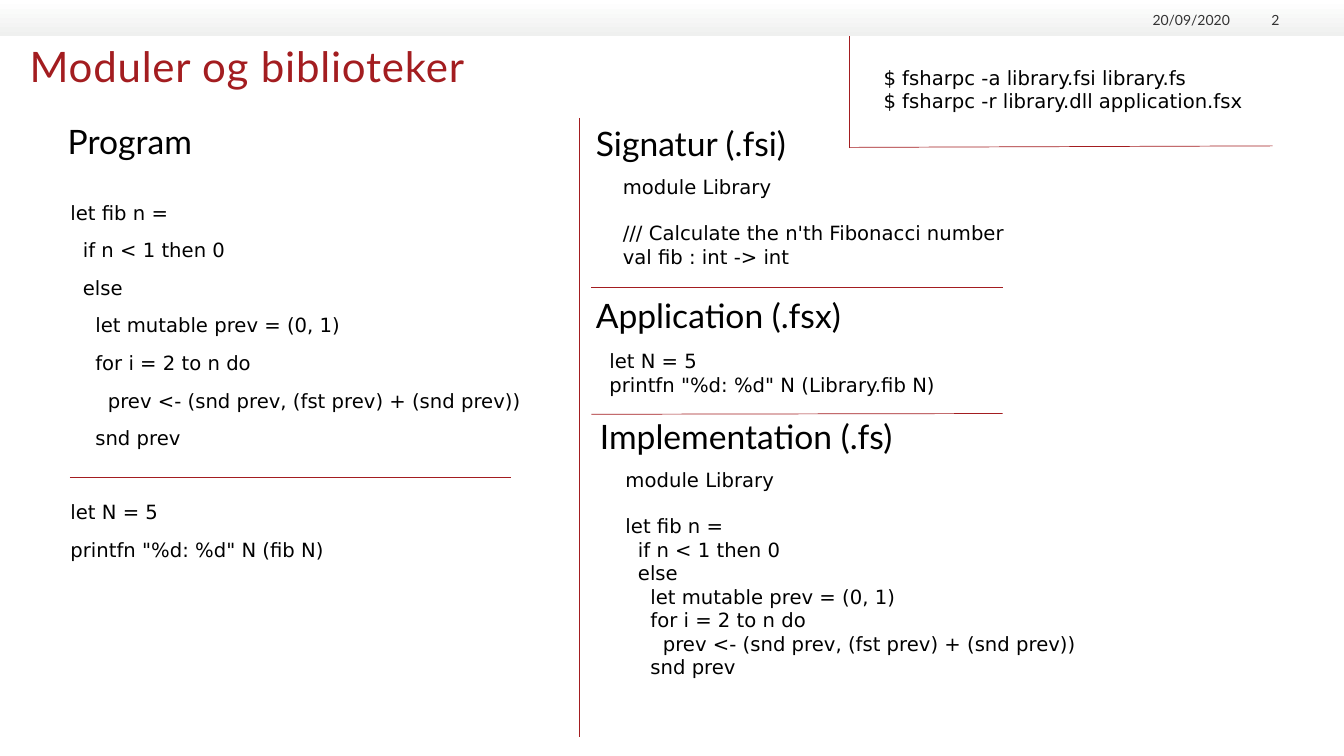
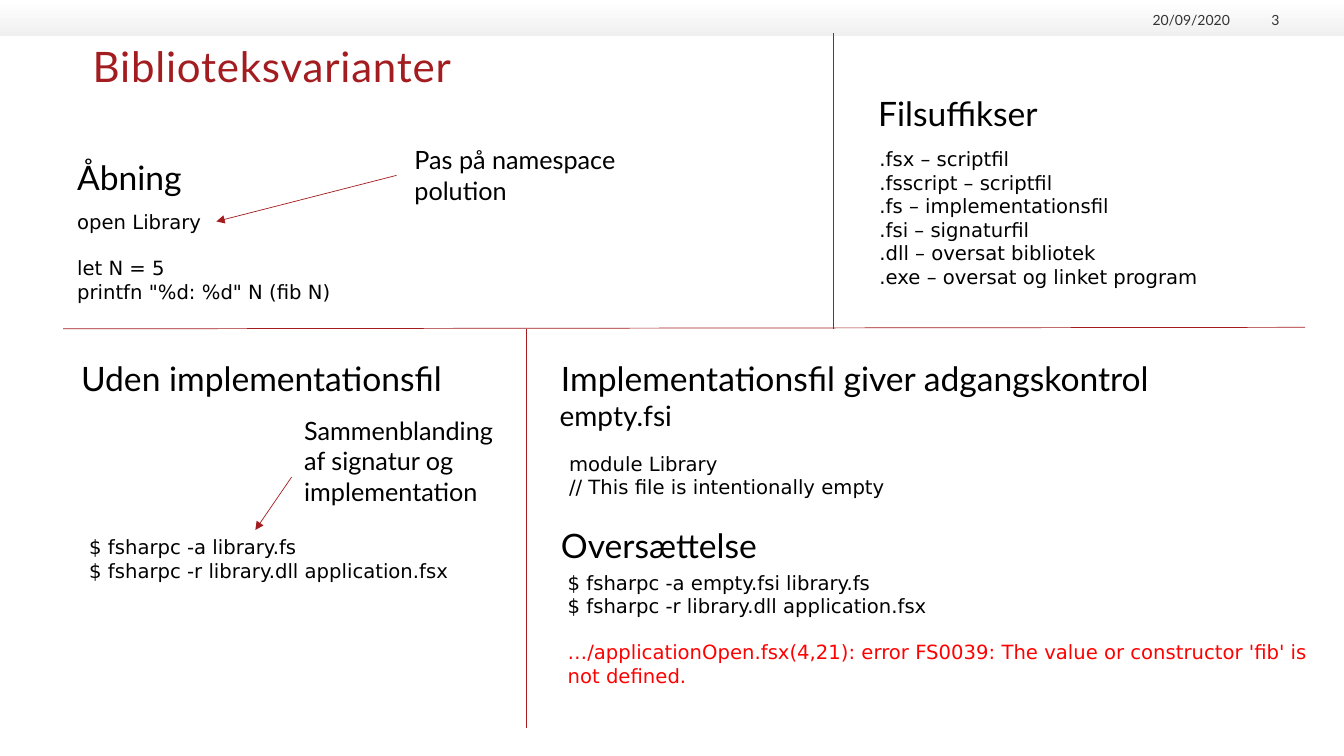
import pptx
import pptx.util
import pptx.dml.color
import pptx.enum.shapes
import pptx.enum.text
import lxml.etree

Pt = pptx.util.Pt
Hex = pptx.dml.color.RGBColor.from_string
Anchor = pptx.enum.text.MSO_ANCHOR
Align = pptx.enum.text.PP_ALIGN
Fit = pptx.enum.text.MSO_AUTO_SIZE
A = "{http://schemas.openxmlformats.org/drawingml/2006/main}"

COLORS = {"red": "A31D20", "error": "FF0000", "ink": "000000",
          "gray": "333333", "top": "FFFFFF", "base": "EFF0EF"}

FLUSH = {"margin_left": 0, "margin_right": 0, "margin_top": 0, "margin_bottom": 0,
         "word_wrap": True}
GROW = {"word_wrap": True, "auto_size": Fit.SHAPE_TO_FIT_TEXT}
LATO = {"name": "Lato"}
CODE = {"name": "DejaVu Sans", "size": Pt(14)}
STYLES = {
    "title": {"frame": FLUSH, "font": {**LATO, "size": Pt(30)}, "color": "red", "track": "60"},
    "foot": {"frame": {**FLUSH, "vertical_anchor": Anchor.BOTTOM},
             "para": {"alignment": Align.RIGHT},
             "font": {**LATO, "size": Pt(10)}, "color": "gray"},
    "head": {"frame": GROW, "font": {**LATO, "size": Pt(24)}},
    "file": {"frame": GROW, "font": {**LATO, "size": Pt(20)}},
    "note": {"frame": GROW, "font": {**LATO, "size": Pt(18)}},
    "code": {"frame": GROW, "font": CODE, "gap": 16.3},
    "airy": {"frame": {"word_wrap": True}, "font": CODE, "lead": 10, "gap": 36.3},
}

deck = pptx.Presentation()
deck.slide_width = pptx.util.Inches(13.33)
deck.slide_height = pptx.util.Inches(7.5)
COL = deck.slide_width / 100
ROW = deck.slide_height / 100


def scale(x, y, *size):
    return [round(n * unit) for n, unit in zip((x, y, *size), (COL, ROW, COL, ROW))]


def write(page, kind, spot, text):
    style = STYLES[kind]
    frame = page.shapes.add_textbox(*scale(*spot)).text_frame
    for key, value in style["frame"].items():
        setattr(frame, key, value)
    para = frame.paragraphs[0]
    for part, block in enumerate(text.split("\n\n")):
        for row, line in enumerate(block.split("\n")):
            if part or row:
                para = frame.add_paragraph()
                para.space_before = Pt(style.get("lead", 0) if row else style["gap"])
            for key, value in style.get("para", {}).items():
                setattr(para, key, value)
            run = para.add_run()
            run.text = line
            for key, value in style["font"].items():
                setattr(run.font, key, value)
            tone = "error" if line.startswith("…") else style.get("color", "ink")
            run.font.color.rgb = Hex(COLORS[tone])
            if "track" in style:
                run.font._element.set("spc", style["track"])


FIB = """let fib n =
  if n < 1 then 0
  else
    let mutable prev = (0, 1)
    for i = 2 to n do
      prev <- (snd prev, (fst prev) + (snd prev))
    snd prev"""
MAIN = """let N = 5
printfn "%d: %d" N (fib N)"""
LINK = "$ fsharpc -r library.dll application.fsx"

PAGES = [
    {
        "title": "Moduler og biblioteker", "left": 2.2, "page": "2",
        "texts": [
            ("head", (4.3, 15.3, 29.1, 6.7), "Program"),
            ("airy", (4.5, 25.9, 35.9, 55.9), f"{FIB}\n\n{MAIN}"),
            ("head", (43.6, 15.6, 16.1, 6.7), "Signatur (.fsi)"),
            ("code", (45.6, 22.5, 43.2, 13.9),
             "module Library\n\n/// Calculate the n'th Fibonacci number\nval fib : int -> int"),
            ("head", (43.6, 38.4, 23.6, 6.7), "Application (.fsx)"),
            ("code", (44.6, 45.5, 40.4, 7.6), MAIN.replace("(fib", "(Library.fib")),
            ("head", (43.9, 54.3, 23.6, 6.7), "Implementation (.fs)"),
            ("code", (45.8, 61.2, 42.7, 29.6), f"module Library\n\n{FIB}"),
            ("code", (65, 8, 30.2, 7.6), f"$ fsharpc -a library.fsi library.fs\n{LINK}"),
        ],
        "lines": [
            (43.1, 15.6, 43.1, 97.5), (44, 54.8, 74.6, 54.7), (74.6, 38, 44, 38),
            (63.2, 19.6, 63.2, 4.7), (63.2, 19.5, 94.7, 19.3), (5.2, 63.1, 38, 63.1),
        ],
        "arrows": [],
    },
    {
        "title": "Biblioteksvarianter", "left": 6.9, "page": "3",
        "texts": [
            ("head", (5, 20.1, 23.6, 6.7), "Åbning"),
            ("code", (5, 27.1, 35.8, 13.9), f"open Library\n\n{MAIN}"),
            ("note", (30.1, 18.5, 17.1, 9.5), "Pas på namespace polution"),
            ("head", (64.6, 11.6, 23.6, 6.7), "Filsuffikser"),
            ("code", (64.7, 18.8, 28, 20.1),
             ".fsx – scriptfil\n.fsscript – scriptfil\n.fs – implementationsfil\n"
             ".fsi – signaturfil\n.dll – oversat bibliotek\n.exe – oversat og linket program"),
            ("head", (5.3, 46.7, 31.3, 6.7), "Uden implementationsfil"),
            ("note", (21.9, 54.3, 17.1, 13.5), "Sammenblanding af signatur og implementation"),
            ("code", (5.9, 70.1, 35.9, 7.6), f"$ fsharpc -a library.fs\n{LINK}"),
            ("head", (41, 46.7, 47.5, 6.7), "Implementationsfil giver adgangskontrol"),
            ("file", (40.9, 52.1, 16.1, 5.9), "empty.fsi"),
            ("code", (41.6, 59.1, 40, 7.6),
             "module Library\n// This file is intentionally empty"),
            ("head", (41, 68.8, 16.1, 6.7), "Oversættelse"),
            ("code", (41.5, 74.8, 56.8, 20.1),
             f"$ fsharpc -a empty.fsi library.fs\n{LINK}\n\n"
             "…/applicationOpen.fsx(4,21): error FS0039: "
             "The value or constructor 'fib' is not defined."),
        ],
        "lines": [
            (4.7, 43.5, 97.1, 43.3), (39.2, 43.5, 39.2, 96.3), (62, 4.4, 62, 43.5),
        ],
        "arrows": [(29.5, 23.2, 16.1, 29.3), (21.7, 63.1, 19, 70.1)],
    },
]

for data in PAGES:
    page = deck.slides.add_slide(deck.slide_layouts[6])
    band = page.shapes.add_shape(pptx.enum.shapes.MSO_SHAPE.RECTANGLE, *scale(0, 0, 100, 4.8))
    band.shadow.inherit = False
    band.line.fill.background()
    band.fill.gradient()
    band.fill.gradient_angle = 270
    for stop, tone in zip(band.fill.gradient_stops, ("top", "base")):
        stop.color.rgb = Hex(COLORS[tone])

    write(page, "foot", (84.8, 1.2, 6.7, 2.5), "20/09/2020")
    write(page, "foot", (92, 1.2, 3.2, 2.5), data["page"])
    write(page, "title", (data["left"], 5.3, 86.2, 19.3), data["title"])
    for kind, spot, text in data["texts"]:
        write(page, kind, spot, text)

    for ends in data["lines"] + data["arrows"]:
        rule = page.shapes.add_connector(pptx.enum.shapes.MSO_CONNECTOR.STRAIGHT, *scale(*ends))
        rule.line.color.rgb = Hex(COLORS["red"])
        rule.line.width = Pt(0.5)
        if ends in data["arrows"]:
            lxml.etree.SubElement(rule.line._get_or_add_ln(), A + "tailEnd", type="triangle")
        lxml.etree.SubElement(rule._element.spPr, A + "effectLst")

deck.save("out.pptx")
